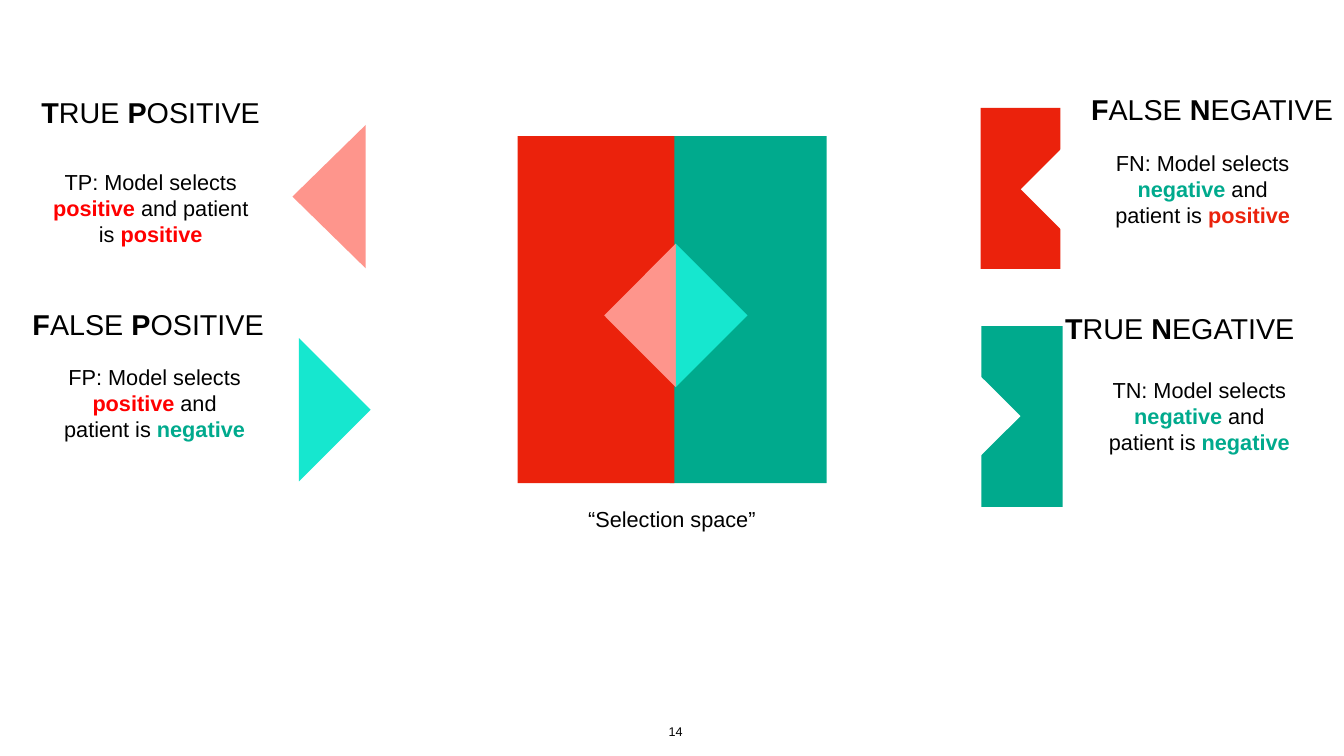
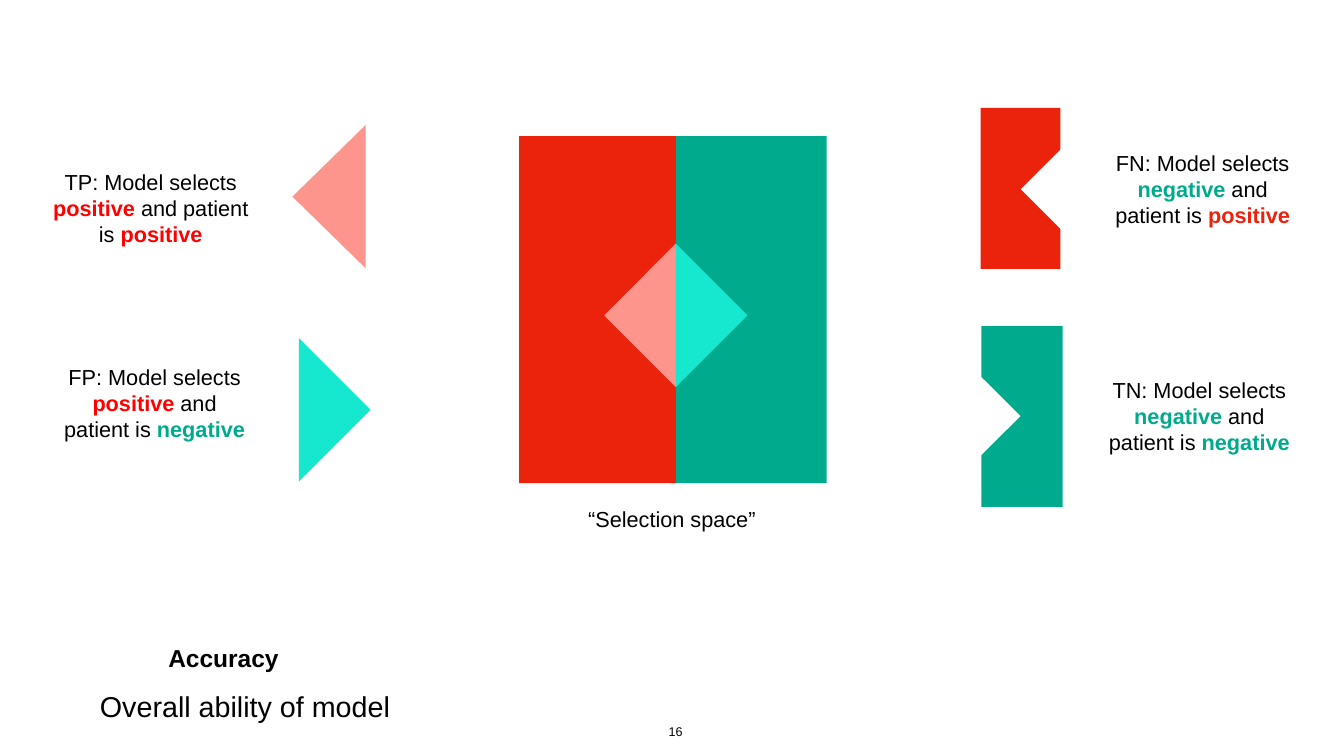
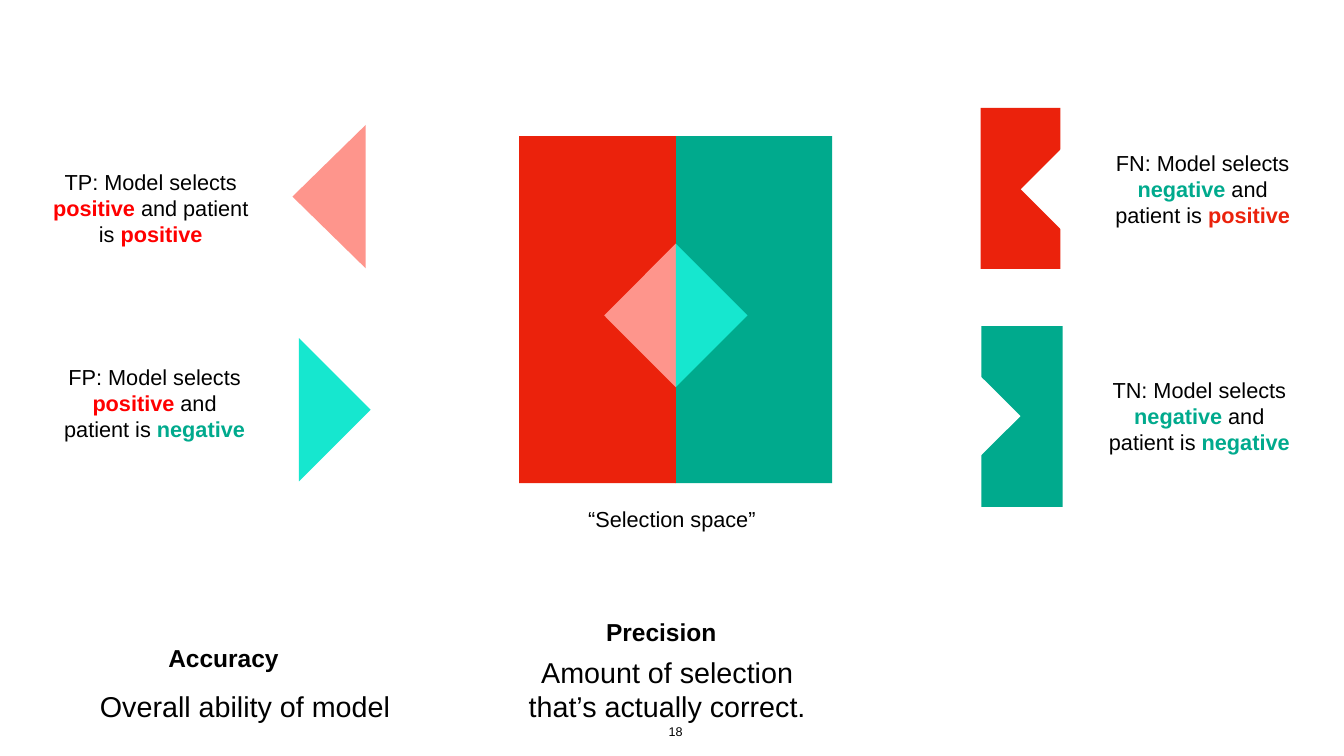
from dataclasses import dataclass

from pptx import Presentation
from pptx.dml.color import RGBColor
from pptx.enum.shapes import MSO_SHAPE
from pptx.enum.text import MSO_ANCHOR, MSO_AUTO_SIZE, PP_ALIGN
from pptx.util import Pt

RECT = MSO_SHAPE.RECTANGLE
CENTER = PP_ALIGN.CENTER
MIDDLE = MSO_ANCHOR.MIDDLE
BOTTOM = MSO_ANCHOR.BOTTOM
GROW = MSO_AUTO_SIZE.SHAPE_TO_FIT_TEXT


@dataclass(frozen=True)
class Theme:
    font: str = "Arial"
    black: str = "000000"
    white: str = "FFFFFF"
    red: str = "EB220C"
    bright: str = "FF0000"
    pink: str = "FE958C"
    teal: str = "00AA8D"
    aqua: str = "16E7CF"
    head: int = 41
    term: int = 35
    note: int = 31
    number: int = 18
    inset: int = 4


T = Theme()

# Outcome: heading box, heading, note box, tag, model's pick, patient's state
POS, NEG = ("positive", T.bright), ("negative", T.teal)
CASES = [
    ((-12.2, 131.8, 455, 57), "TRUE POSITIVE",
     (69.8, 236.2, 291, 121.7), "TP", POS, POS),
    ((-15.8, 434.9, 455, 57), "FALSE POSITIVE",
     (80, 514, 281.5, 121.7), "FP", POS, NEG),
    ((1504, 126.7, 455, 57.6), "FALSE NEGATIVE",
     (1572.5, 209.5, 291, 121.7), "FN", NEG, ("positive", T.red)),
    ((1458, 440, 455, 57.6), "TRUE NEGATIVE",
     (1572.5, 533.5, 281.5, 121.7), "TN", NEG, NEG),
]

# Metric: name box, name, meaning box, meaning
ACCURACY = ((224.6, 914.4, 189.4, 50.4), "Accuracy",
            (128.2, 979.2, 444.2, 57.6), "Overall ability of model")
PRECISION = ((853.2, 877, 182.9, 50.4), "Precision",
             (725.8, 931, 455, 107.3),
             "Amount of selection that’s actually correct.")

# Slide: number, left of red half, left of teal half, headings shown, metrics
SLIDES = [
    (14, 739.4, 956.9, True, []),
    (16, 741.6, 956.9, False, [ACCURACY]),
    (18, 741.6, 964.8, False, [ACCURACY, PRECISION]),
]


def paint(shape, color):
    shape.shadow.inherit = False
    shape.fill.solid()
    shape.fill.fore_color.rgb = RGBColor.from_string(color)
    shape.line.fill.background()


def block(slide, box, color):
    paint(slide.shapes.add_shape(RECT, *map(Pt, box)), color)


def wedge(slide, flat, mid, reach, half, color):
    """Triangle with an upright side at flat and its tip reach away."""
    pen = slide.shapes.build_freeform(Pt(flat), Pt(mid - half))
    pen.add_line_segments([(Pt(flat + reach), Pt(mid)),
                           (Pt(flat), Pt(mid + half))], close=True)
    paint(pen.convert_to_shape(), color)


def text(slide, box, size, runs, anchor=MIDDLE):
    """Centred text; each run is (words, bold, colour)."""
    frame = slide.shapes.add_textbox(*map(Pt, box)).text_frame
    frame.word_wrap = True
    frame.auto_size = GROW
    frame.vertical_anchor = anchor
    frame.margin_left = frame.margin_right = Pt(T.inset)
    frame.margin_top = frame.margin_bottom = Pt(T.inset)
    para = frame.paragraphs[0]
    para.alignment = CENTER
    for words, bold, color in runs:
        run = para.add_run()
        run.text = words
        run.font.name = T.font
        run.font.size = Pt(size)
        run.font.bold = bold
        run.font.color.rgb = RGBColor.from_string(color)


def plain(slide, box, size, words, bold=False, anchor=MIDDLE):
    text(slide, box, size, [(words, bold, T.black)], anchor)


def title(slide, box, words):
    """Heading of two words with bold initials."""
    first, last = words.split()
    text(slide, box, T.head, [
        (first[0], True, T.black), (first[1:] + " ", False, T.black),
        (last[0], True, T.black), (last[1:], False, T.black)])


def note(slide, box, tag, pick, state):
    text(slide, box, T.note, [
        (f"{tag}: Model selects ", False, T.black), (pick[0], True, pick[1]),
        (" and patient is ", False, T.black), (state[0], True, state[1])])


def space(slide, red, teal):
    """Square of all patients with the selected diamond in its centre."""
    block(slide, (teal, 194.4, 224, 496), T.teal)
    block(slide, (red, 194.4, 224, 496), T.red)
    wedge(slide, 965.5, 450.6, -102.4, 102.5, T.pink)
    wedge(slide, 965.5, 450.6, 102.4, 102.5, T.aqua)
    plain(slide, (831.6, 718.6, 256.3, 45.4), T.note, "“Selection space”")


def parts(slide):
    """The four pieces of the space, set apart at the sides."""
    wedge(slide, 522.5, 280.9, -104.7, 102.5, T.pink)
    wedge(slide, 427, 585.4, 102.3, 102.3, T.aqua)
    block(slide, (1401, 154, 114, 230), T.red)
    wedge(slide, 1517.8, 270.3, -59.3, 59.4, T.white)
    block(slide, (1402, 466, 116, 258), T.teal)
    wedge(slide, 1398.2, 594.4, 59.6, 59.4, T.white)


def main():
    deck = Presentation()
    deck.slide_width, deck.slide_height = Pt(1920), Pt(1080)
    for number, red, teal, heads, terms in SLIDES:
        slide = deck.slides.add_slide(deck.slide_layouts[6])
        # Slide number
        plain(slide, (941, 1029.6, 48.2, 30.2), T.number, str(number),
              anchor=BOTTOM)
        # Metrics
        for spot, name, place, gist in terms:
            plain(slide, spot, T.term, name, bold=True)
            plain(slide, place, T.head, gist)
        # Diagram
        space(slide, red, teal)
        parts(slide)
        # Outcomes
        for top, words, box, tag, pick, state in CASES:
            note(slide, box, tag, pick, state)
            if heads:
                title(slide, top, words)
    deck.save("out.pptx")


if __name__ == "__main__":
    main()
